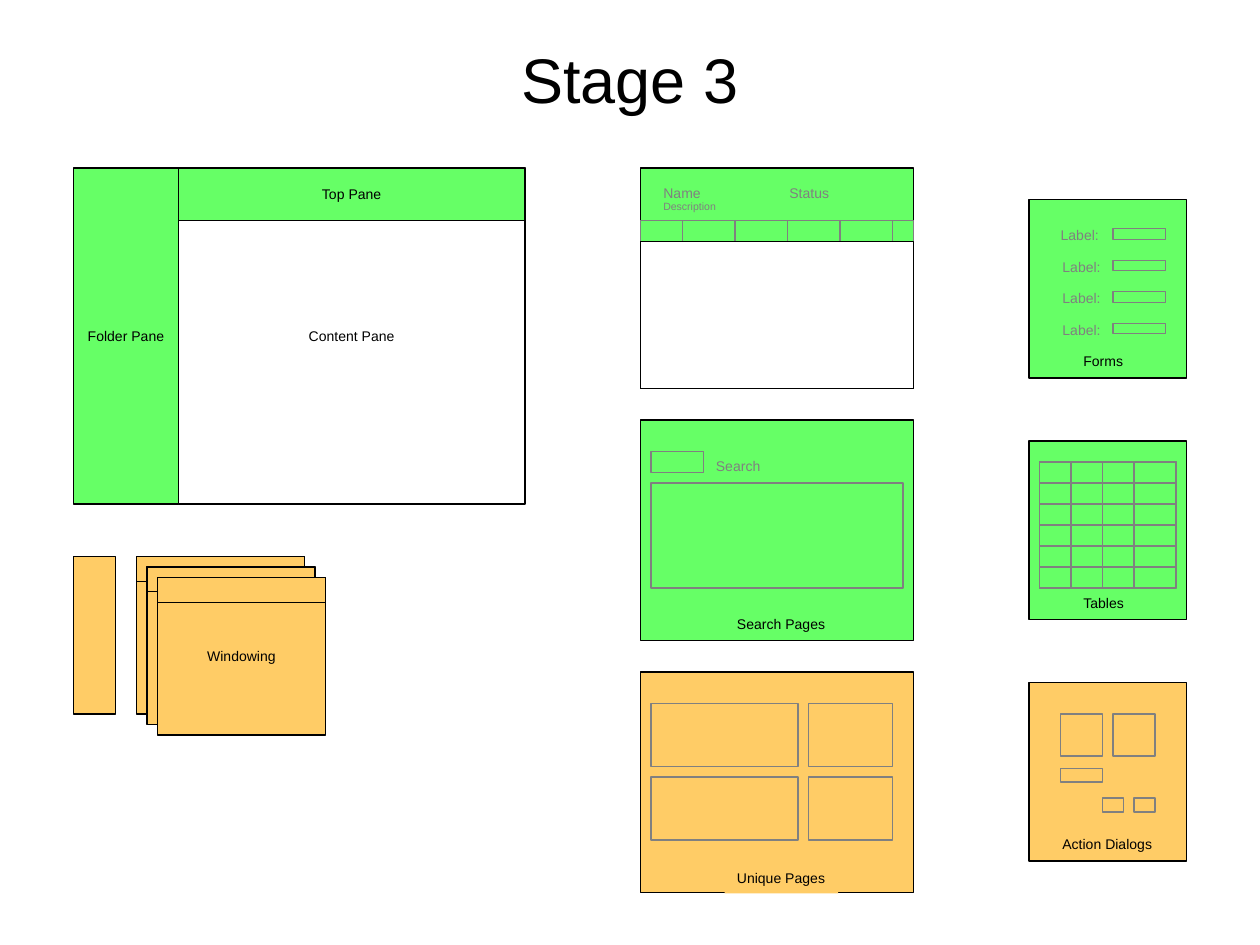
from pptx import Presentation
from pptx.dml.color import RGBColor
from pptx.enum.shapes import MSO_SHAPE
from pptx.enum.text import MSO_ANCHOR, MSO_AUTO_SIZE, PP_ALIGN
from pptx.util import Pt

BLACK = RGBColor(0x00, 0x00, 0x00)
WHITE = RGBColor(0xFF, 0xFF, 0xFF)
GRAY = RGBColor(0x80, 0x80, 0x80)
GREEN = RGBColor(0x66, 0xFF, 0x66)
ORANGE = RGBColor(0xFF, 0xCC, 0x66)

deck = Presentation()
deck.slide_width, deck.slide_height = Pt(720), Pt(540)
slide = deck.slides.add_slide(deck.slide_layouts[5])


def box(left, top, width, height, fill, line=BLACK, text=None):
    shape = slide.shapes.add_shape(
        MSO_SHAPE.RECTANGLE, Pt(left), Pt(top), Pt(width), Pt(height))
    shape.shadow.inherit = False
    if fill is None:
        shape.fill.background()
    else:
        shape.fill.solid()
        shape.fill.fore_color.rgb = fill
    shape.line.color.rgb = line
    shape.line.width = Pt(0.75)
    if text:
        frame = shape.text_frame
        frame.word_wrap = False
        frame.vertical_anchor = MSO_ANCHOR.MIDDLE
        frame.text = text
        para = frame.paragraphs[0]
        para.alignment = PP_ALIGN.CENTER
        para.font.name, para.font.size = "Arial", Pt(8)
        para.font.color.rgb = BLACK


def note(left, top, width, text, color=GRAY, fill=None, size=8):
    label = slide.shapes.add_textbox(
        Pt(left), Pt(top), Pt(width), Pt(17 if size == 8 else 14.5))
    if fill is not None:
        label.fill.solid()
        label.fill.fore_color.rgb = fill
    frame = label.text_frame
    frame.word_wrap = False
    frame.auto_size = MSO_AUTO_SIZE.SHAPE_TO_FIT_TEXT
    frame.text = text
    para = frame.paragraphs[0]
    para.font.name, para.font.size = "Arial", Pt(size)
    para.font.color.rgb = color


title = slide.shapes.title
title.left, title.top, title.width, title.height = Pt(54), Pt(0), Pt(612), Pt(90)
title.text_frame.text = "Stage 3"
title.text_frame.vertical_anchor = MSO_ANCHOR.MIDDLE
head = title.text_frame.paragraphs[0]
head.alignment = PP_ALIGN.CENTER
head.font.name, head.font.size = "Arial", Pt(36)
head.font.color.rgb = BLACK

box(102, 96, 198, 192, WHITE, text="Content Pane")
box(42, 96, 60, 192, GREEN, text="Folder Pane")
box(102, 96, 198, 30, GREEN, text="Top Pane")

box(42, 318, 24, 90, ORANGE)
for step, name in enumerate([None, None, "Windowing"]):
    left, top = 78 + 6 * step, 318 + 6 * step
    box(left, top, 96, 90, ORANGE, text=name)
    box(left, top, 96, 14.2, ORANGE)

for row, fill in enumerate([GREEN, GREEN, ORANGE]):
    box(366, 96 + 144 * row, 156, 126, fill)
    box(588, 114 + 138 * row, 90, 102, fill)

note(372, 102, 37, "Name")
note(372, 111, 45, "Description", size=6)
note(444, 102, 38, "Status")
box(366, 126, 156, 12, GREEN, GRAY)
for tab in range(4):
    box(390 + 30 * tab, 126, 30, 12, GREEN, GRAY)
box(366, 138, 156, 84, WHITE)

box(372, 276, 144, 60, GREEN, GRAY)
box(372, 258, 30, 12, GREEN, GRAY)
note(402, 258, 41, "Search")
note(414, 348, 65, "Search Pages", BLACK, GREEN)

for top in (402, 444):
    box(372, top, 84, 36, ORANGE, GRAY)
    box(462, top, 48, 36, ORANGE, GRAY)
note(414, 493.5, 65, "Unique Pages", BLACK, ORANGE)

for row in range(4):
    note(600 if row else 599, 126 + 18 * row, 37, "Label:", fill=GREEN)
    box(636, 130.8 + 18 * row, 30, 6, GREEN, GRAY)
note(612, 198, 38, "Forms", BLACK, GREEN)

box(594, 264, 78, 72, GREEN, GRAY)
for col, width in enumerate([18, 18, 18, 24]):
    box(594 + 18 * col, 264, width, 72, GREEN, GRAY)
for row in range(5):
    box(594, 264 + 12 * row, 78, 12, None, GRAY)
note(612, 336, 39, "Tables", BLACK)

for left in (606, 636):
    box(left, 408, 24, 24, ORANGE, GRAY)
box(606, 439, 24, 8, ORANGE, GRAY)
for left in (630, 648):
    box(left, 456, 12, 8, ORANGE, GRAY)
note(600, 474, 67, "Action Dialogs", BLACK, ORANGE)

deck.save("out.pptx")
